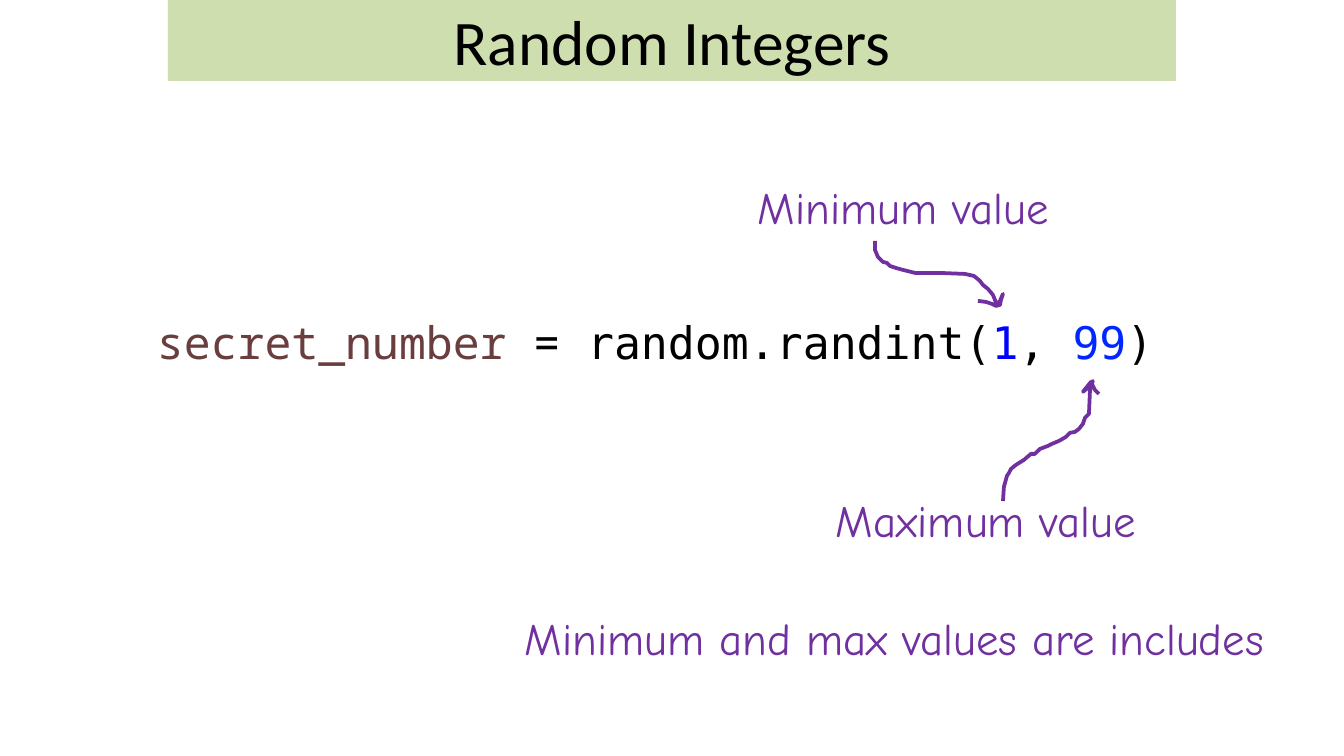
from dataclasses import dataclass

from lxml.etree import SubElement
from pptx import Presentation
from pptx.dml.color import RGBColor
from pptx.enum.shapes import MSO_SHAPE as Preset
from pptx.enum.text import MSO_ANCHOR as Anchor, MSO_AUTO_SIZE as AutoSize, PP_ALIGN as Align
from pptx.oxml.ns import qn
from pptx.slide import Slide
from pptx.util import Emu, Pt

EMU_PER_PX = 914400 / 134.4


@dataclass(frozen=True)
class Theme:
    ink: str = "000000"
    variable: str = "6A3E3E"
    minimum: str = "0000FF"
    maximum: str = "0027FF"
    note: str = "7030A0"
    banner: str = "C3D69B"
    banner_opacity: int = 80
    title_font: str = "Calibri"
    note_font: str = "Comic Neue"
    name_font: str = "Noto Sans Mono"
    code_font: str = "DejaVu Sans Mono"
    title_size: int = 34
    body_size: int = 24
    stroke: int = 2
    inset: int = 5


THEME = Theme()


@dataclass(frozen=True)
class Span:
    text: str
    color: str
    font: str
    size: int = THEME.body_size


@dataclass(frozen=True)
class Label:
    left: int
    top: int
    width: int
    height: int
    spans: tuple[Span, ...]
    wrap: bool = False
    align: Align = Align.LEFT
    anchor: Anchor = Anchor.TOP


@dataclass(frozen=True)
class HandArrow:
    points: tuple[tuple[int, int], ...]


def px(length: int) -> Emu:
    return Emu(round(length * EMU_PER_PX))


def note(left: int, top: int, width: int, text: str) -> Label:
    return Label(left, top, width, 67, (Span(text, THEME.note, THEME.note_font),))


def draw_label(page: Slide, label: Label) -> None:
    box = page.shapes.add_textbox(px(label.left), px(label.top), px(label.width), px(label.height))
    frame = box.text_frame
    inset = px(THEME.inset)
    frame_format = {
        "margin_left": inset, "margin_right": inset, "margin_top": inset, "margin_bottom": inset,
        "word_wrap": label.wrap, "vertical_anchor": label.anchor,
        "auto_size": AutoSize.SHAPE_TO_FIT_TEXT,
    }
    for name, value in frame_format.items():
        setattr(frame, name, value)
    para = frame.paragraphs[0]
    para.alignment = label.align
    for span in label.spans:
        run = para.add_run()
        run.text = span.text
        for name, value in {"name": span.font, "size": Pt(span.size)}.items():
            setattr(run.font, name, value)
        run.font.color.rgb = RGBColor.from_string(span.color)


def draw_banner(page: Slide, left: int, top: int, width: int, height: int) -> None:
    banner = page.shapes.add_shape(Preset.RECTANGLE, px(left), px(top), px(width), px(height))
    banner.shadow.inherit = False
    banner.line.fill.background()
    banner.fill.solid()
    banner.fill.fore_color.rgb = RGBColor.from_string(THEME.banner)
    color = banner.fill._xPr.find(qn("a:solidFill"))[0]
    SubElement(color, qn("a:alpha"), val=str(THEME.banner_opacity * 1000))


def draw_arrow(page: Slide, arrow: HandArrow) -> None:
    start, *rest = arrow.points
    builder = page.shapes.build_freeform(*start, scale=EMU_PER_PX)
    builder.add_line_segments(rest, close=False)
    stroke = builder.convert_to_shape()
    stroke.shadow.inherit = False
    stroke.fill.background()
    stroke.line.color.rgb = RGBColor.from_string(THEME.note)
    stroke.line.width = Pt(THEME.stroke)


CODE = Label(152, 310, 1042, 66, (
    Span("secret_number", THEME.variable, THEME.name_font),
    Span(" = ", THEME.ink, THEME.name_font),
    Span("random.randint(", THEME.ink, THEME.code_font),
    Span("1", THEME.minimum, THEME.code_font),
    Span(", ", THEME.ink, THEME.code_font),
    Span("99", THEME.maximum, THEME.code_font),
    Span(")", THEME.ink, THEME.code_font),
), wrap=True)

TITLE = Label(
    173, 2, 998, 77,
    (Span("Random Integers", THEME.ink, THEME.title_font, THEME.title_size),),
    wrap=True, align=Align.CENTER, anchor=Anchor.MIDDLE,
)

NOTES = (
    note(753, 175, 304, "Minimum value"),
    note(831, 488, 317, "Maximum value"),
    note(520, 606, 773, "Minimum and max values are includes"),
)

# Each stroke runs along the tail, then over both barbs of the head
ARROWS = (
    HandArrow((
        (875, 241), (875, 250), (878, 257), (883, 262), (887, 263), (890, 266), (896, 268),
        (903, 270), (907, 271), (915, 273), (940, 273), (965, 274), (974, 276), (980, 281),
        (983, 285), (988, 289), (993, 295), (995, 300), (997, 305), (1000, 301), (1003, 294),
        (1001, 300), (1000, 305), (996, 306), (992, 304), (986, 302), (978, 301),
    )),
    HandArrow((
        (1003, 501), (1004, 487), (1007, 476), (1009, 473), (1011, 469), (1016, 465),
        (1024, 460), (1031, 454), (1035, 454), (1040, 449), (1048, 446), (1052, 444),
        (1059, 441), (1066, 437), (1070, 433), (1075, 432), (1079, 429), (1083, 424),
        (1085, 418), (1089, 414), (1090, 392), (1091, 386), (1093, 381), (1088, 388),
        (1083, 392), (1087, 387), (1091, 382), (1095, 390), (1099, 394),
    )),
)


def main() -> None:
    deck = Presentation()
    deck.slide_width, deck.slide_height = px(1344), px(756)
    page = deck.slides.add_slide(deck.slide_layouts[6])

    # Code line and title banner
    draw_label(page, CODE)
    draw_banner(page, 168, 0, 1008, 81)
    draw_label(page, TITLE)

    # Handwritten notes and arrows
    for label in NOTES:
        draw_label(page, label)
    for arrow in ARROWS:
        draw_arrow(page, arrow)

    deck.save("out.pptx")


if __name__ == "__main__":
    main()
